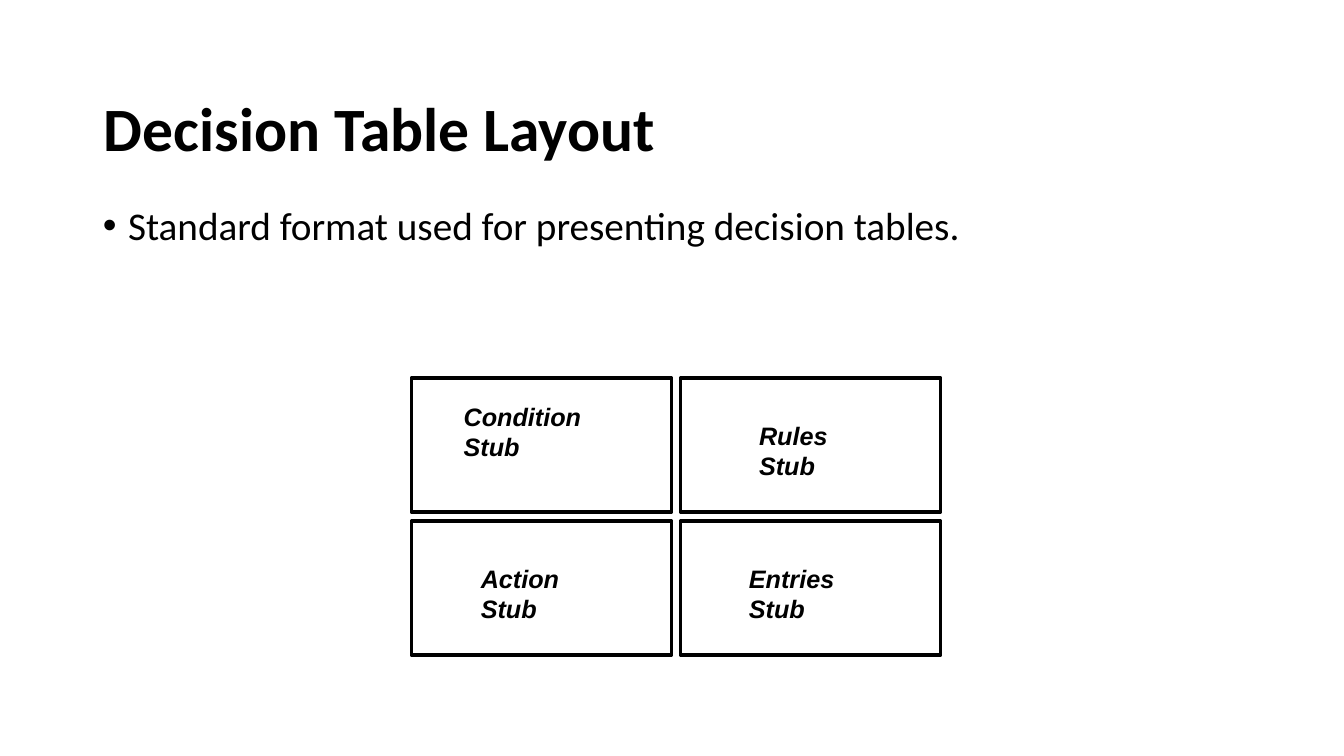
import pptx
import pptx.util
import pptx.dml.color
import pptx.enum.shapes
import pptx.enum.text

Inches = pptx.util.Inches
Pt = pptx.util.Pt
ANCHOR = pptx.enum.text.MSO_ANCHOR
AUTO = pptx.enum.text.MSO_AUTO_SIZE
LEFT = pptx.enum.text.PP_ALIGN.LEFT

COLORS = {"ink": "000000", "paper": "FFFFFF"}
TITLE = {"name": "Calibri", "size": Pt(44), "bold": True}
BODY = {"name": "Calibri", "size": Pt(28)}
LABEL = {"name": "Arial", "size": Pt(18), "bold": True, "italic": True}

STUBS = [
    [("Condition", 0.42, 0.17, 1.38), ("Rules", 0.68, 0.36, 0.89)],
    [("Action", 0.59, 0.36, 0.99), ("Entries", 0.58, 0.36, 1.06)],
]


def rgb(name):
    return pptx.dml.color.RGBColor.from_string(COLORS[name])


def set_attrs(obj, values):
    for name, value in values.items():
        setattr(obj, name, value)


def place(sp, box):
    names = ("left", "top", "width", "height")
    set_attrs(sp, dict(zip(names, map(Inches, box))))


def write(p, text, font, **fmt):
    p.text = text
    set_attrs(p, {"alignment": LEFT, "space_before": Pt(0), **fmt})
    set_attrs(p.runs[0].font, font)
    p.runs[0].font.color.rgb = rgb("ink")


def add_title(s, box, text):
    sp = s.shapes.title
    place(sp, box)
    tf = sp.text_frame
    set_attrs(tf, {"auto_size": AUTO.NONE, "vertical_anchor": ANCHOR.MIDDLE})
    write(tf.paragraphs[0], text, TITLE, line_spacing=0.9)


def add_body(s, box, text):
    sp = s.placeholders[1]
    place(sp, box)
    tf = sp.text_frame
    set_attrs(tf, {"auto_size": AUTO.NONE, "vertical_anchor": ANCHOR.TOP})
    p = tf.paragraphs[0]
    pPr = p._p.get_or_add_pPr()
    pPr.set("marL", str(Inches(0.25)))
    pPr.set("indent", str(Inches(-0.25)))
    write(p, text, BODY, line_spacing=0.9)


def add_stub(shapes, box, word, dx, dy, label_width):
    x, y, w, h = box
    sp = shapes.add_shape(pptx.enum.shapes.MSO_SHAPE.RECTANGLE, *map(Inches, box))
    sp.shadow.inherit = False
    sp.fill.background()
    sp.line.color.rgb = rgb("ink")
    sp.line.width = Pt(2.5)

    label = (x + dx, y + dy, label_width, 0.71)
    tf = shapes.add_textbox(*map(Inches, label)).text_frame
    set_attrs(tf, {"word_wrap": False, "vertical_anchor": ANCHOR.BOTTOM,
                   "auto_size": AUTO.SHAPE_TO_FIT_TEXT})
    write(tf.paragraphs[0], word, LABEL)
    write(tf.add_paragraph(), "Stub", LABEL)


def add_decision_table(s, box, gap):
    x, y, w, h = box
    cell_w, cell_h = (w - gap) / 2, (h - gap) / 2
    shapes = s.shapes.add_group_shape().shapes
    for row, stubs in enumerate(STUBS):
        for col, stub in enumerate(stubs):
            cell = (x + col * (cell_w + gap), y + row * (cell_h + gap), cell_w, cell_h)
            add_stub(shapes, cell, *stub)


def main():
    prs = pptx.Presentation()
    set_attrs(prs, {"slide_width": Inches(13.33), "slide_height": Inches(7.5)})
    s = prs.slides.add_slide(prs.slide_layouts[1])
    s.background.fill.solid()
    s.background.fill.fore_color.rgb = rgb("paper")
    add_title(s, (0.93, 1.1, 8.52, 0.42), "Decision Table Layout")
    add_body(s, (0.92, 2, 11.5, 4.76), "Standard format used for presenting decision tables.")
    add_decision_table(s, (4.08, 3.75, 5.25, 2.75), 0.09)
    prs.save("out.pptx")


if __name__ == "__main__":
    main()
